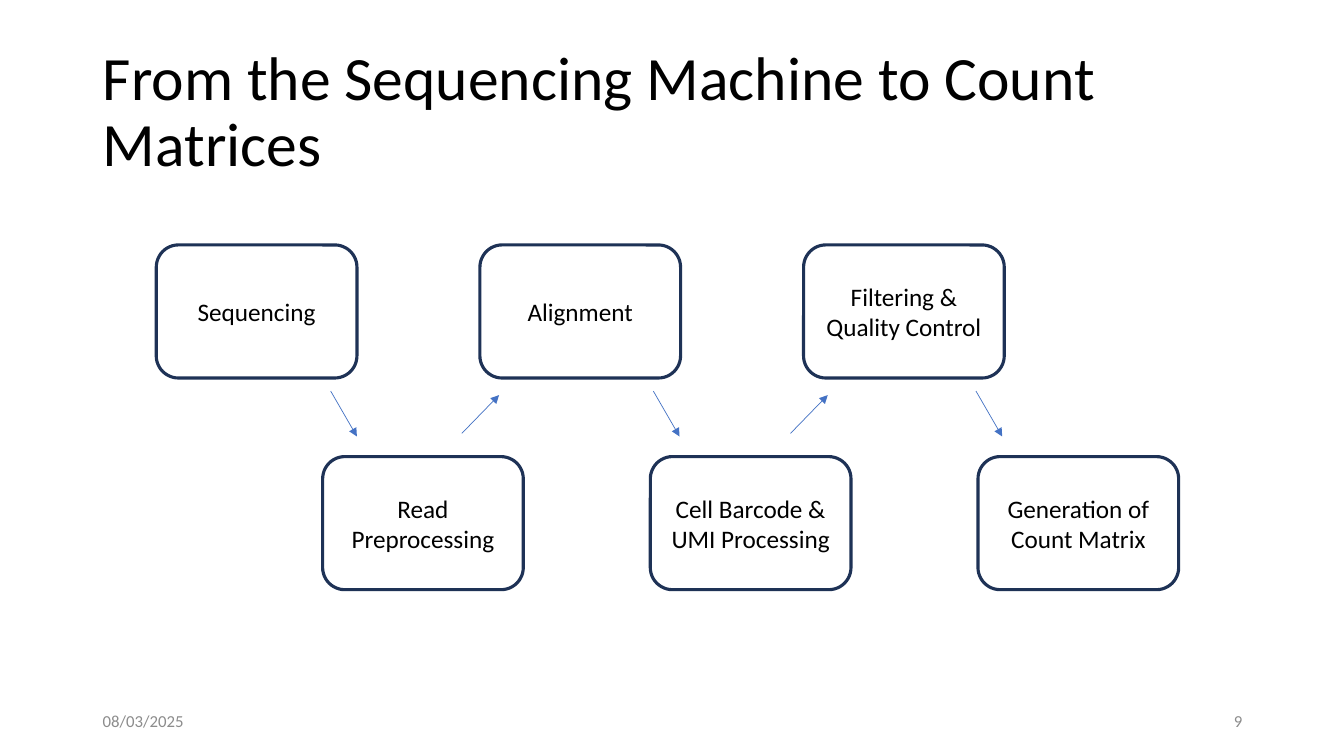
import pptx
import pptx.dml.color
import pptx.enum.shapes
import pptx.enum.text
import pptx.oxml
import pptx.oxml.ns
import pptx.util
from pptx.util import Inches

FONT = "Calibri"
ALIGN = pptx.enum.text.PP_ALIGN
MIDDLE = pptx.enum.text.MSO_ANCHOR.MIDDLE

BLACK, GREY, NAVY, BLUE = "000000", "8C8C8C", "1E3256", "4472C4"

# Pipeline steps: upper and lower row alternate, left to right
UPPER_STEPS = ["Sequencing", "Alignment", "Filtering & Quality Control"]
LOWER_STEPS = ["Read Preprocessing", "Cell Barcode & UMI Processing",
               "Generation of Count Matrix"]


def color(hex_string):
    return pptx.dml.color.RGBColor.from_string(hex_string)


def write(frame, text, size, hex_string, align):
    frame.word_wrap = True
    frame.vertical_anchor = MIDDLE
    frame.text = text
    paragraph = frame.paragraphs[0]
    paragraph.alignment = align
    font = paragraph.runs[0].font
    font.name = FONT
    font.size = pptx.util.Pt(size)
    font.color.rgb = color(hex_string)
    return paragraph


def set_title(slide, text):
    title = slide.shapes.title
    title.left, title.top = Inches(0.92), Inches(0.4)
    title.width, title.height = Inches(11.5), Inches(1.45)
    paragraph = write(title.text_frame, text, 44, BLACK, ALIGN.LEFT)
    paragraph.line_spacing = 0.9


def add_footer(slide, left, text, align):
    footer = slide.shapes.add_textbox(Inches(left), Inches(6.95), Inches(3), Inches(0.4))
    write(footer.text_frame, text, 12, GREY, align)


def add_step(slide, left, top, label):
    step = slide.shapes.add_shape(pptx.enum.shapes.MSO_SHAPE.ROUNDED_RECTANGLE,
                                  Inches(left), Inches(top), Inches(1.99), Inches(1.32))
    step.shadow.inherit = False
    step.fill.background()
    step.line.color.rgb = color(NAVY)
    step.line.width = pptx.util.Pt(2.25)
    # Narrow margins offset the inset of the rounded corners
    step.text_frame.margin_left = step.text_frame.margin_right = Inches(0.04)
    write(step.text_frame, label, 18, BLACK, ALIGN.CENTER)


def add_arrow(slide, x1, y1, x2, y2):
    arrow = slide.shapes.add_connector(pptx.enum.shapes.MSO_CONNECTOR.STRAIGHT,
                                       Inches(x1), Inches(y1), Inches(x2), Inches(y2))
    arrow.line.color.rgb = color(BLUE)
    arrow.line.width = pptx.util.Pt(0.5)
    namespace = pptx.oxml.ns.nsdecls("a")
    line = arrow.line._get_or_add_ln()
    line.append(pptx.oxml.parse_xml(f'<a:tailEnd {namespace} type="triangle"/>'))
    line.getparent().append(pptx.oxml.parse_xml(f"<a:effectLst {namespace}/>"))


def main():
    presentation = pptx.Presentation()
    presentation.slide_width = Inches(13.33)
    presentation.slide_height = Inches(7.5)
    slide = presentation.slides.add_slide(presentation.slide_layouts[5])

    # Title, date and slide number
    set_title(slide, "From the Sequencing Machine to Count Matrices")
    add_footer(slide, 0.92, "08/03/2025", ALIGN.LEFT)
    add_footer(slide, 9.42, "9", ALIGN.RIGHT)

    # Steps in two staggered rows
    for column, (upper, lower) in enumerate(zip(UPPER_STEPS, LOWER_STEPS)):
        add_step(slide, 1.55 + 3.21 * column, 2.43, upper)
        add_step(slide, 3.2 + 3.25 * column, 4.53, lower)

    # Arrows down within each pair, then up to the next pair
    for column in range(len(UPPER_STEPS)):
        down = 3.28 + 3.2 * column
        add_arrow(slide, down, 3.88, down + 0.26, 4.33)
    for column in range(len(UPPER_STEPS) - 1):
        up = 4.58 + 3.26 * column
        add_arrow(slide, up, 4.3, up + 0.37, 3.92)

    presentation.save("out.pptx")


if __name__ == "__main__":
    main()
